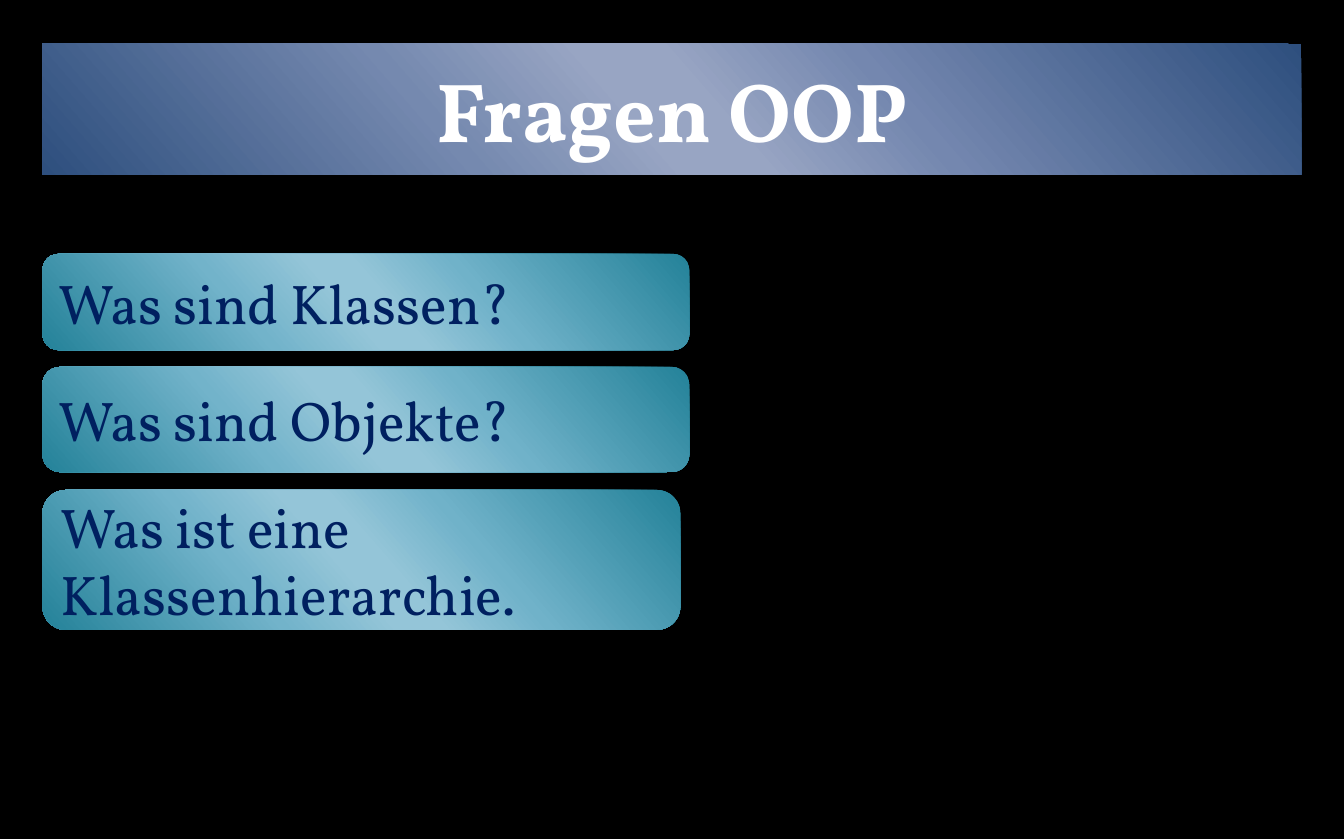
"""Build the slide "Fragen OOP" with a title bar and three question boxes."""
from lxml import etree
from pptx import Presentation
from pptx.dml.color import RGBColor
from pptx.enum.shapes import MSO_SHAPE
from pptx.enum.text import MSO_ANCHOR, MSO_AUTO_SIZE, PP_ALIGN
from pptx.oxml.ns import qn
from pptx.util import Inches, Pt

ROUNDED = MSO_SHAPE.ROUNDED_RECTANGLE
MIDDLE = MSO_ANCHOR.MIDDLE
NO_AUTOFIT = MSO_AUTO_SIZE.NONE
CENTER, LEFT = PP_ALIGN.CENTER, PP_ALIGN.LEFT

BLACK = RGBColor(0x00, 0x00, 0x00)
WHITE = RGBColor(0xFF, 0xFF, 0xFF)
NAVY = RGBColor(0x00, 0x20, 0x60)
BLUE_EDGE = RGBColor(0x2E, 0x4F, 0x7E)
BLUE_LEFT = RGBColor(0x74, 0x87, 0xAF)
BLUE_LIGHT = RGBColor(0x98, 0xA5, 0xC3)
BLUE_RIGHT = RGBColor(0x75, 0x89, 0xAF)
TEAL_EDGE = RGBColor(0x24, 0x82, 0x99)
TEAL_LEFT = RGBColor(0x70, 0xB2, 0xC9)
TEAL_LIGHT = RGBColor(0x94, 0xC5, 0xD8)
TEAL_RIGHT = RGBColor(0x72, 0xB3, 0xCA)

FONT = "Vollkorn"
GRADIENT_ANGLE = 139
STOP_POSITIONS = (0, 33, 47, 53, 68, 100)
BLUES = (BLUE_EDGE, BLUE_LEFT, BLUE_LIGHT, BLUE_LIGHT, BLUE_RIGHT, BLUE_EDGE)
TEALS = (TEAL_EDGE, TEAL_LEFT, TEAL_LIGHT, TEAL_LIGHT, TEAL_RIGHT, TEAL_EDGE)
LEFT_EDGE = 0.38
QUESTIONS = (
    ("Was sind Klassen?", 2.27, 5.78, 0.86),
    ("Was sind Objekte?", 3.28, 5.78, 0.94),
    ("Was ist eine Klassenhierarchie.", 4.38, 5.7, 1.25),
)


def paint_gradient(box, colors):
    gradient = etree.SubElement(box._element.spPr, qn("a:gradFill"), rotWithShape="1")
    stops = etree.SubElement(gradient, qn("a:gsLst"))
    for position, color in zip(STOP_POSITIONS, colors):
        stop = etree.SubElement(stops, qn("a:gs"), pos=str(position * 1000))
        etree.SubElement(stop, qn("a:srgbClr"), val=str(color))
    etree.SubElement(gradient, qn("a:lin"), ang=str(GRADIENT_ANGLE * 60000), scaled="0")
    box.line.fill.background()
    box.shadow.inherit = False


def write_text(box, text, size, color, alignment, bold):
    frame = box.text_frame
    frame.word_wrap = True
    frame.auto_size = NO_AUTOFIT
    frame.vertical_anchor = MIDDLE
    para = frame.paragraphs[0]
    para.alignment = alignment
    span = para.add_run()
    span.text = text
    span.font.name = FONT
    span.font.size = Pt(size)
    span.font.bold = bold
    span.font.color.rgb = color


deck = Presentation()
deck.slide_width = Inches(12.01)
deck.slide_height = Inches(7.5)
page = deck.slides.add_slide(deck.slide_layouts[5])
page.background.fill.solid()
page.background.fill.fore_color.rgb = BLACK

title = page.shapes.title
title.left, title.top = Inches(LEFT_EDGE), Inches(0.39)
title.width, title.height = Inches(11.25), Inches(1.17)
outline = etree.SubElement(title._element.spPr, qn("a:prstGeom"), prst="roundRect")
etree.SubElement(outline, qn("a:avLst"))
paint_gradient(title, BLUES)
write_text(title, "Fragen OOP", 54, WHITE, CENTER, True)

for question, top, width, height in QUESTIONS:
    box = page.shapes.add_shape(
        ROUNDED, Inches(LEFT_EDGE), Inches(top), Inches(width), Inches(height)
    )
    paint_gradient(box, TEALS)
    write_text(box, question, 36, NAVY, LEFT, False)

deck.save("out.pptx")
